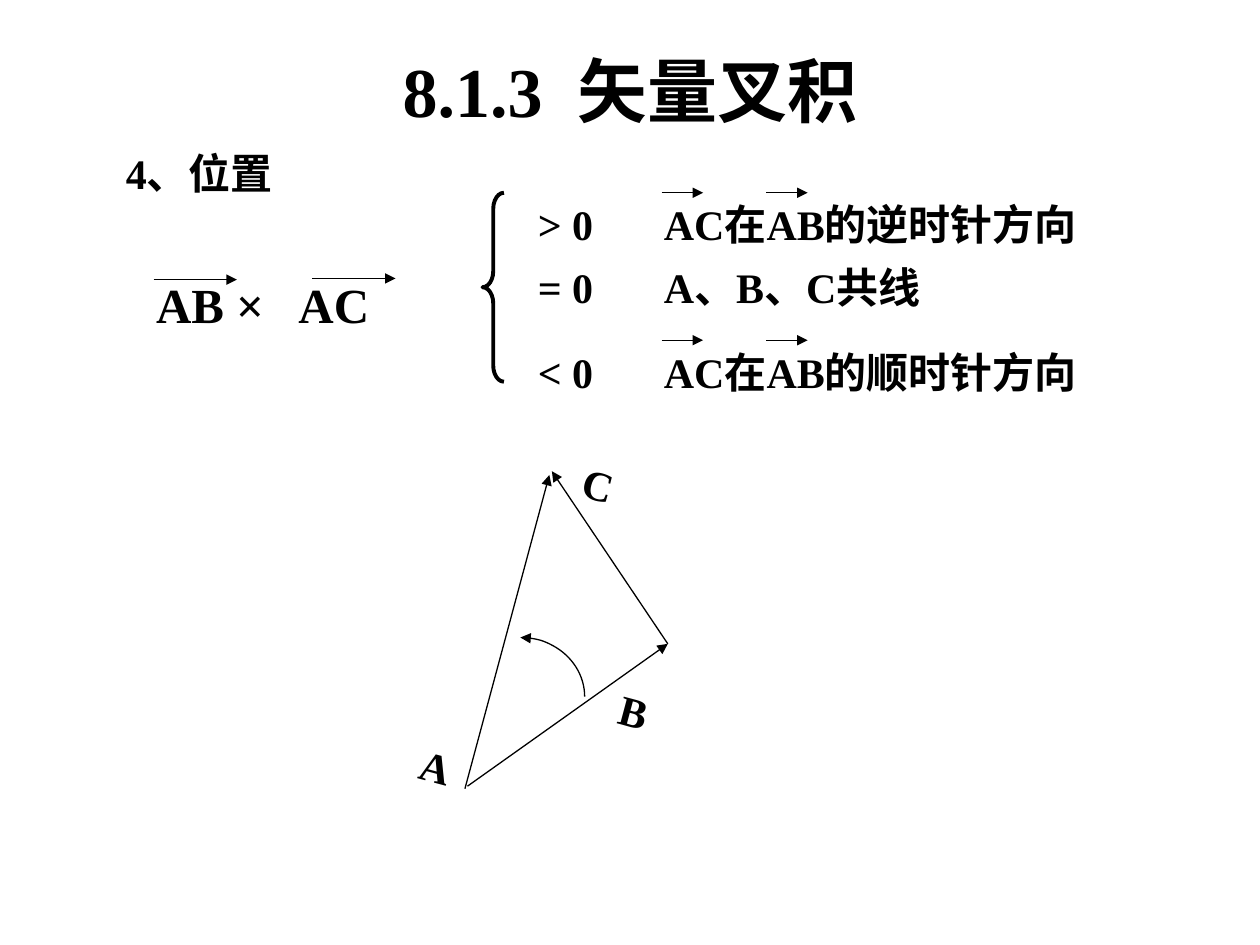
from lxml.etree import SubElement
from pptx import Presentation
from pptx.dml.color import RGBColor
from pptx.enum.shapes import MSO_CONNECTOR, MSO_SHAPE
from pptx.enum.text import MSO_ANCHOR, PP_ALIGN
from pptx.oxml.ns import qn
from pptx.util import Inches, Pt


def rgb(hex_colour):
    return RGBColor.from_string(hex_colour)


class Board:
    """Style of the lesson and the slide being drawn."""

    font = "Times New Roman"
    ink = "000000"
    thin = 0.75

    def __init__(self, slide):
        self.shapes = slide.shapes

    def text(self, content, left, top, width, height=0.5, size=24,
             align=PP_ALIGN.LEFT, anchor=MSO_ANCHOR.TOP, tab=None, turn=0):
        box = self.shapes.add_textbox(
            Inches(left), Inches(top), Inches(width), Inches(height))
        box.rotation = turn
        frame = box.text_frame
        frame.word_wrap = True
        frame.vertical_anchor = anchor
        paragraph = frame.paragraphs[0]
        paragraph.alignment = align
        if tab:
            stops = SubElement(paragraph._p.get_or_add_pPr(), qn("a:tabLst"))
            SubElement(stops, qn("a:tab"), pos=str(Inches(tab)), algn="l")
        run = paragraph.add_run()
        run.text = content
        run.font.name = self.font
        run.font.size = Pt(size)
        run.font.bold = True
        run.font.color.rgb = rgb(self.ink)

    def stroke(self, shape, weight, arrow_end=None):
        """Set the line; arrow_end is headEnd, tailEnd or None."""
        shape.line.color.rgb = rgb(self.ink)
        shape.line.width = Pt(weight)
        if arrow_end:
            SubElement(shape.line._get_or_add_ln(), qn(f"a:{arrow_end}"),
                       type="triangle")

    def arrow(self, start, end):
        connector = self.shapes.add_connector(
            MSO_CONNECTOR.STRAIGHT, *(Inches(v) for v in (*start, *end)))
        self.stroke(connector, self.thin, "tailEnd")
        SubElement(connector._element.spPr, qn("a:effectLst"))

    def vector_mark(self, left, top, length):
        self.arrow((left, top), (left + length, top))

    def outline(self, preset, left, top, width, height, weight,
                arrow_end=None):
        shape = self.shapes.add_shape(
            preset, Inches(left), Inches(top), Inches(width), Inches(height))
        shape.shadow.inherit = False
        shape.fill.background()
        self.stroke(shape, weight, arrow_end)
        return shape


def main():
    presentation = Presentation()
    presentation.slide_width = Inches(10)
    presentation.slide_height = Inches(7.5)
    board = Board(presentation.slides.add_slide(presentation.slide_layouts[6]))

    board.text("8.1.3  矢量叉积", 0.75, 0.25, 8.5, 0.92, size=40,
               align=PP_ALIGN.CENTER, anchor=MSO_ANCHOR.MIDDLE)
    board.text("4、位置", 0.9, 1.12, 1.58)

    board.text("AB ×\tAC", 1.14, 2.13, 2.52, 0.57, size=28, tab=1.13)
    board.vector_mark(1.22, 2.22, 0.66)
    board.vector_mark(2.48, 2.21, 0.66)

    brace = board.outline(MSO_SHAPE.LEFT_BRACE, 3.83, 1.53, 0.17, 1.5, 2.25)
    brace.adjustments[0] = 0.75

    cases = [
        (1.53, "> 0\tAC在AB的逆时针方向", True),
        (2.03, "= 0\tA、B、C共线", False),
        (2.7, "< 0\tAC在AB的顺时针方向", True),
    ]
    for top, statement, has_vectors in cases:
        board.text(statement, 4.17, top, 4.75, tab=1)
        if has_vectors:
            for left in (5.25, 6.08):
                board.vector_mark(left, top, 0.33)

    board.arrow((3.71, 6.24), (5.3, 5.11))
    board.arrow((3.69, 6.26), (4.36, 3.77))
    board.arrow((5.3, 5.11), (4.38, 3.74))
    vertices = [("A", 3.24, 5.84, 0.5), ("B", 4.82, 5.41, 0.52),
                ("C", 4.53, 3.59, 0.42)]
    for vertex, left, top, width in vertices:
        board.text(vertex, left, top, width, turn=15)
    board.outline(MSO_SHAPE.ARC, 3.62, 5.06, 1.02, 0.94, board.thin, "headEnd")

    presentation.save("out.pptx")


if __name__ == "__main__":
    main()
